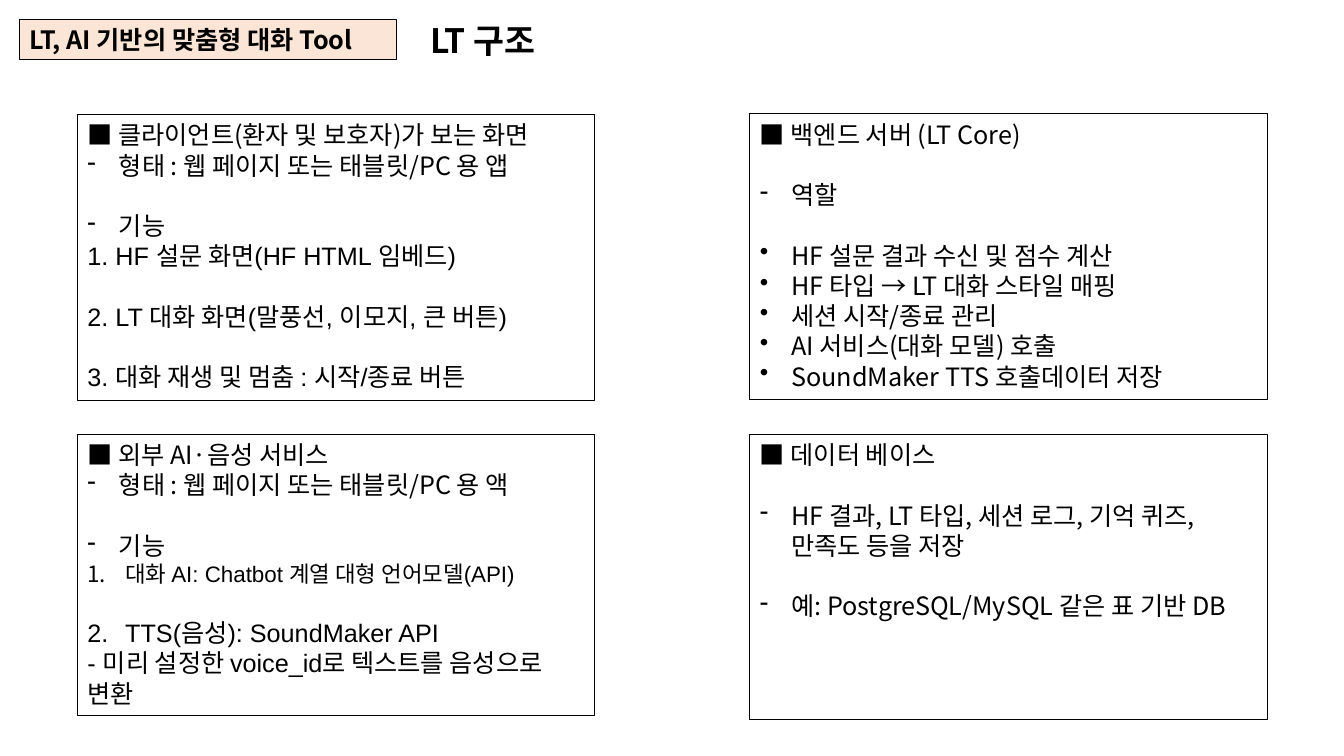
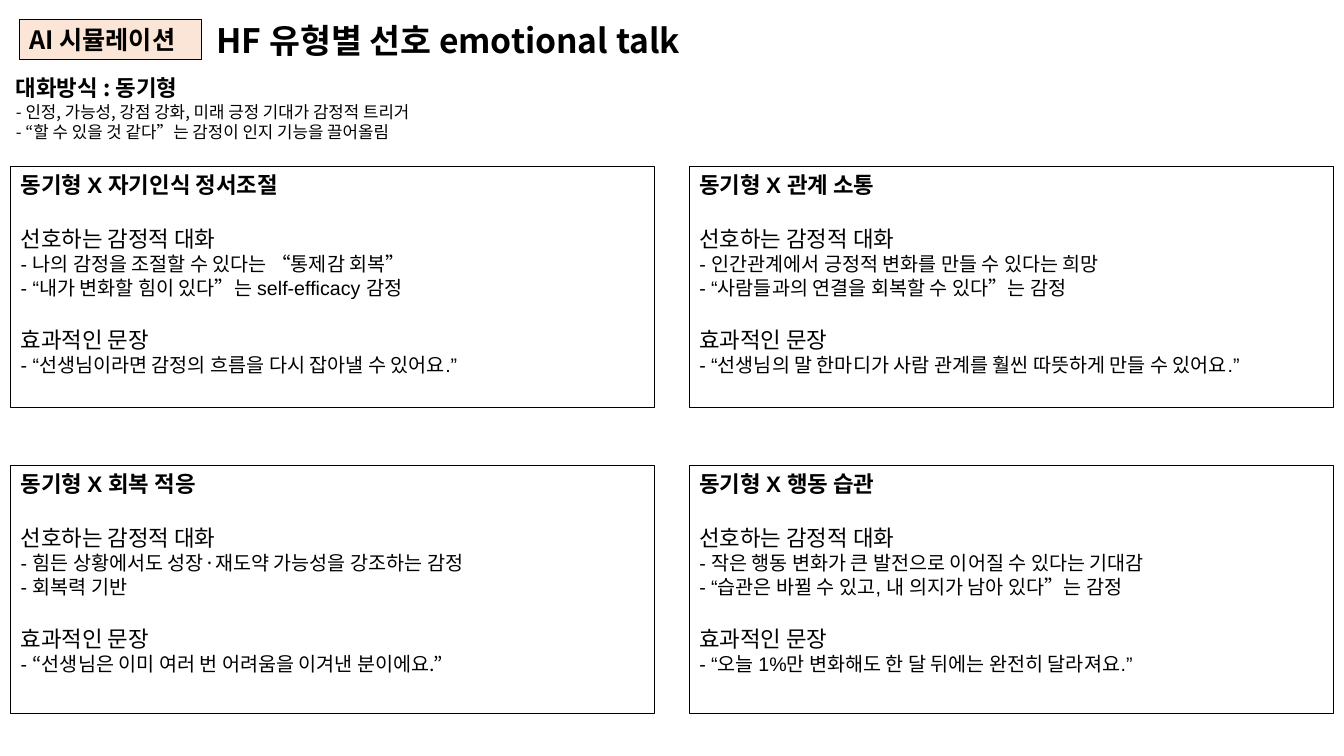
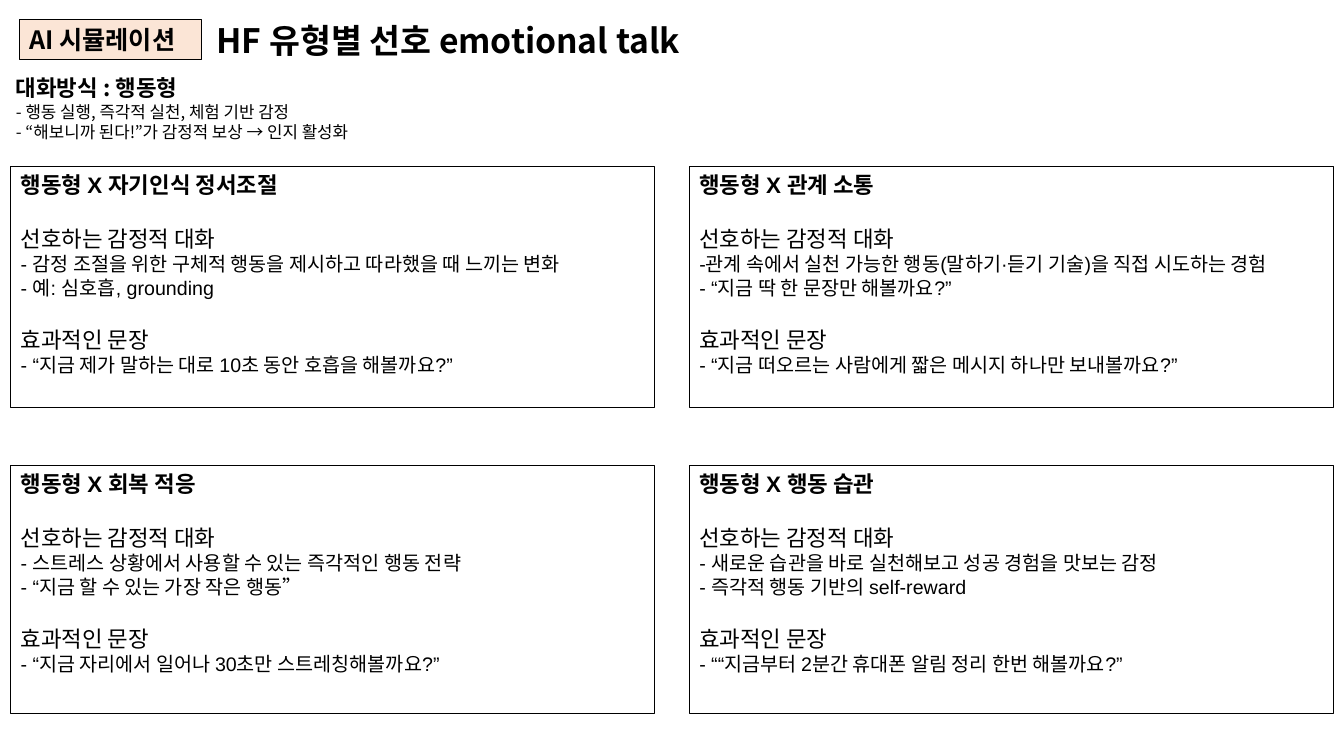
import pptx
import pptx.util
import pptx.dml.color
import pptx.enum.shapes
import pptx.enum.text
import pptx.oxml
import pptx.oxml.ns

Pt = pptx.util.Pt
RGB = pptx.dml.color.RGBColor


class Theme:
    ink = RGB.from_string("000000")
    peach = RGB.from_string("FBE5D6")
    sans = "Noto Sans CJK KR"
    plain = "Arial"
    title, head, sub, body, note = 24, 18, 16, 14, 12
    edge = 0.75
    pitch = 1.2


# Hanging indent and bullet element for each kind of mark
marks = {
    "-": (22.5, "buChar", {"char": "-"}),
    "•": (22.5, "buChar", {"char": "•"}),
    "1": (27, "buAutoNum", {"type": "arabicPeriod"}),
}


def frame(slide, left, top, width, height, fill=None, edge=True):
    """Add a ruled rectangle or a bare text box; return its text frame."""
    spot = [Pt(n) for n in (left, top, width, height)]
    if edge:
        shape = slide.shapes.add_shape(pptx.enum.shapes.MSO_SHAPE.RECTANGLE, *spot)
        shape.shadow.inherit = False
        shape.line.color.rgb = Theme.ink
        shape.line.width = Pt(Theme.edge)
        if fill is None:
            shape.fill.background()
        else:
            shape.fill.solid()
            shape.fill.fore_color.rgb = fill
    else:
        shape = slide.shapes.add_textbox(*spot)
    text = shape.text_frame
    text.word_wrap = True
    text.vertical_anchor = pptx.enum.text.MSO_ANCHOR.TOP
    return text


def write(text, first, runs, size, bold=False, mark="", gap=0):
    """Write one paragraph from (words, font) runs."""
    para = text.paragraphs[0] if first else text.add_paragraph()
    para.alignment = pptx.enum.text.PP_ALIGN.LEFT
    para.line_spacing = Pt(size * Theme.pitch)
    para.space_before = Pt(gap)
    if mark in marks:
        dent, tag, facts = marks[mark]
        props = para._p.get_or_add_pPr()
        props.set("marL", str(Pt(dent)))
        props.set("indent", str(-Pt(dent)))
        bullet = pptx.oxml.parse_xml(
            f'<a:{tag} {pptx.oxml.ns.nsdecls("a")}/>')
        for key, value in facts.items():
            bullet.set(key, value)
        props.append(bullet)
    for words, face in runs:
        run = para.add_run()
        run.text = words
        run.font.size = Pt(size)
        run.font.bold = bold
        run.font.color.rgb = Theme.ink
        run.font.name = face
        asian = pptx.oxml.parse_xml(
            f'<a:ea {pptx.oxml.ns.nsdecls("a")} typeface="{Theme.sans}"/>')
        run._r.get_or_add_rPr().append(asian)


# Panels of the structure slide: place, then (mark, words, gap, size)
head, sub = Theme.head, Theme.sub
blank = head * Theme.pitch
parts = [
    ((55.4, 82, 369.4, 203.8), [
        ("■", "■ 클라이언트(환자 및 보호자)가 보는 화면", 0, head),
        ("-", "형태 : 웹 페이지 또는 태블릿/PC 용 앱", 0, head),
        ("-", "기능", blank, head),
        ("", "1. HF 설문 화면(HF HTML 임베드)", 0, head),
        ("", "2. LT 대화 화면(말풍선, 이모지, 큰 버튼)", blank, head),
        ("", "3. 대화 재생 및 멈춤 : 시작/종료 버튼", blank, head),
    ]),
    ((535.7, 81.4, 369.4, 203.8), [
        ("■", "■ 백엔드 서버 (LT Core)", 0, head),
        ("-", "역할", blank, head),
        ("•", "HF 설문 결과 수신 및 점수 계산", blank, head),
        ("•", "HF 타입 → LT 대화 스타일 매핑", 0, head),
        ("•", "세션 시작/종료 관리", 0, head),
        ("•", "AI 서비스(대화 모델) 호출", 0, head),
        ("•", "SoundMaker TTS 호출데이터 저장", 0, head),
    ]),
    ((55.4, 310.3, 369.4, 200.9), [
        ("■", "■ 외부 AI·음성 서비스", 0, head),
        ("-", "형태 : 웹 페이지 또는 태블릿/PC 용 액", 0, head),
        ("-", "기능", blank, head),
        ("1", "대화 AI: Chatbot 계열 대형 언어모델(API)", 0, sub),
        ("1", "TTS(음성): SoundMaker API", blank, head),
        ("", "- 미리 설정한 voice_id로 텍스트를 음성으로 변환", 0, head),
    ]),
    ((535.7, 310.3, 369.4, 203.8), [
        ("■", "■ 데이터 베이스", 0, head),
        ("-", "HF 결과, LT 타입, 세션 로그, 기억 퀴즈, 만족도 등을 저장", blank, head),
        ("-", "예: PostgreSQL/MySQL 같은 표 기반 DB", blank, head),
    ]),
]

# Talk slides: type, two notes, then three lines per panel.
# Words after a bar are set in the sans face.
areas = ["자기인식 정서조절", "관계 소통", "회복 적응", "행동 습관"]
talks = [
    ("동기형", [
        "- 인정, 가능성, 강점 강화, 미래 긍정 기대가 감정적 트리거",
        "- “할 수 있을 것 같다”는 감정이 인지 기능을 끌어올림",
    ], [
        ("- 나의 감정을 조절할 수 있다는 “통제감 회복”",
         "- “내가 변화할 힘이 있다”는 self-efficacy 감정",
         "- “선생님이라면 감정의 흐름을 다시 잡아낼 수 있어요.”"),
        ("- 인간관계에서 긍정적 변화를 만들 수 있다는 희망",
         "- “사람들과의 연결을 회복할 수 있다”는 감정",
         "- “선생님의 말 한마디가 사람 관계를 훨씬 따뜻하게 만들 수 있어요.”"),
        ("- |힘든 상황에서도 성장·재도약 가능성을 강조하는 감정",
         "- 회복력 기반",
         "- |“선생님은 이미 여러 번 어려움을 이겨낸 분이에요.”"),
        ("- 작은 행동 변화가 큰 발전으로 이어질 수 있다는 기대감",
         "- “습관은 바뀔 수 있고, 내 의지가 남아 있다”는 감정",
         "- “오늘 1%만 변화해도 한 달 뒤에는 완전히 달라져요.”"),
    ]),
    ("행동형", [
        "- 행동 실행, 즉각적 실천, 체험 기반 감정",
        "- “해보니까 된다!”가 감정적 보상 → 인지 활성화",
    ], [
        ("- 감정 조절을 위한 구체적 행동을 제시하고 따라했을 때 느끼는 변화",
         "- 예: 심호흡, grounding",
         "- “지금 제가 말하는 대로 10초 동안 호흡을 해볼까요?”"),
        ("-관계 속에서 실천 가능한 행동(말하기·듣기 기술)을 직접 시도하는 경험",
         "- “지금 딱 한 문장만 해볼까요?”",
         "- “지금 떠오르는 사람에게 짧은 메시지 하나만 보내볼까요?”"),
        ("- |스트레스 상황에서 사용할 수 있는 즉각적인 행동 전략",
         "- “지금 할 수 있는 가장 작은 행동”",
         "- “지금 자리에서 일어나 30초만 스트레칭해볼까요?”"),
        ("- 새로운 습관을 바로 실천해보고 성공 경험을 맛보는 감정",
         "- 즉각적 행동 기반의 self-reward",
         "- ““지금부터 2분간 휴대폰 알림 정리 한번 해볼까요?”"),
    ]),
]

deck = pptx.Presentation()
deck.slide_width, deck.slide_height = Pt(960), Pt(540)

# Badge and title on every slide
tops = [("LT, AI 기반의 맞춤형 대화 Tool", 269.3, "LT 구조", 300.2, 100)]
tops += [("AI 시뮬레이션", 130.3, "HF 유형별 선호 emotional talk", 147.6, 441.4)] * len(talks)
slides = []
for badge, wide, title, left, room in tops:
    slide = deck.slides.add_slide(deck.slide_layouts[6])
    slides.append(slide)
    text = frame(slide, 13.7, 13.7, wide, 29.1, fill=Theme.peach)
    write(text, True, [(badge, Theme.sans)], head, bold=True)
    text = frame(slide, left, 10.5, room, 36, edge=False)
    write(text, True, [(title, Theme.sans)], Theme.title, bold=True)

# Structure panels
for place, lines in parts:
    text = frame(slides[0], *place)
    for row, (mark, words, gap, size) in enumerate(lines):
        face = Theme.plain if mark in ("", "1") else Theme.sans
        write(text, row == 0, [(words, face)], size, mark=mark, gap=gap)

# Talk panels in a two by two grid
skip = sub * Theme.pitch
for slide, (kind, notes, cells) in zip(slides[1:], talks):
    text = frame(slide, 4.3, 49.7, 441.4, 55.4, edge=False)
    write(text, True, [(f"대화방식 : {kind}", Theme.sans)], sub, bold=True)
    for note in notes:
        write(text, False, [(note, Theme.sans)], Theme.note)
    for spot, (area, cell) in enumerate(zip(areas, cells)):
        row, col = divmod(spot, 2)
        top, tall = [(118.8, 172.1), (332.6, 177.1)][row]
        text = frame(slide, 7.6 + 484.8 * col, top, 460.1, tall)
        write(text, True, [(f"{kind} X {area}", Theme.plain)], sub, bold=True)
        for label, lines in (("선호하는 감정적 대화", cell[:2]),
                             ("효과적인 문장", cell[2:])):
            write(text, False, [(label, Theme.plain)], sub, gap=skip)
            for line in lines:
                runs = zip(line.split("|"), (Theme.plain, Theme.sans))
                write(text, False, runs, Theme.body)

deck.save("out.pptx")
